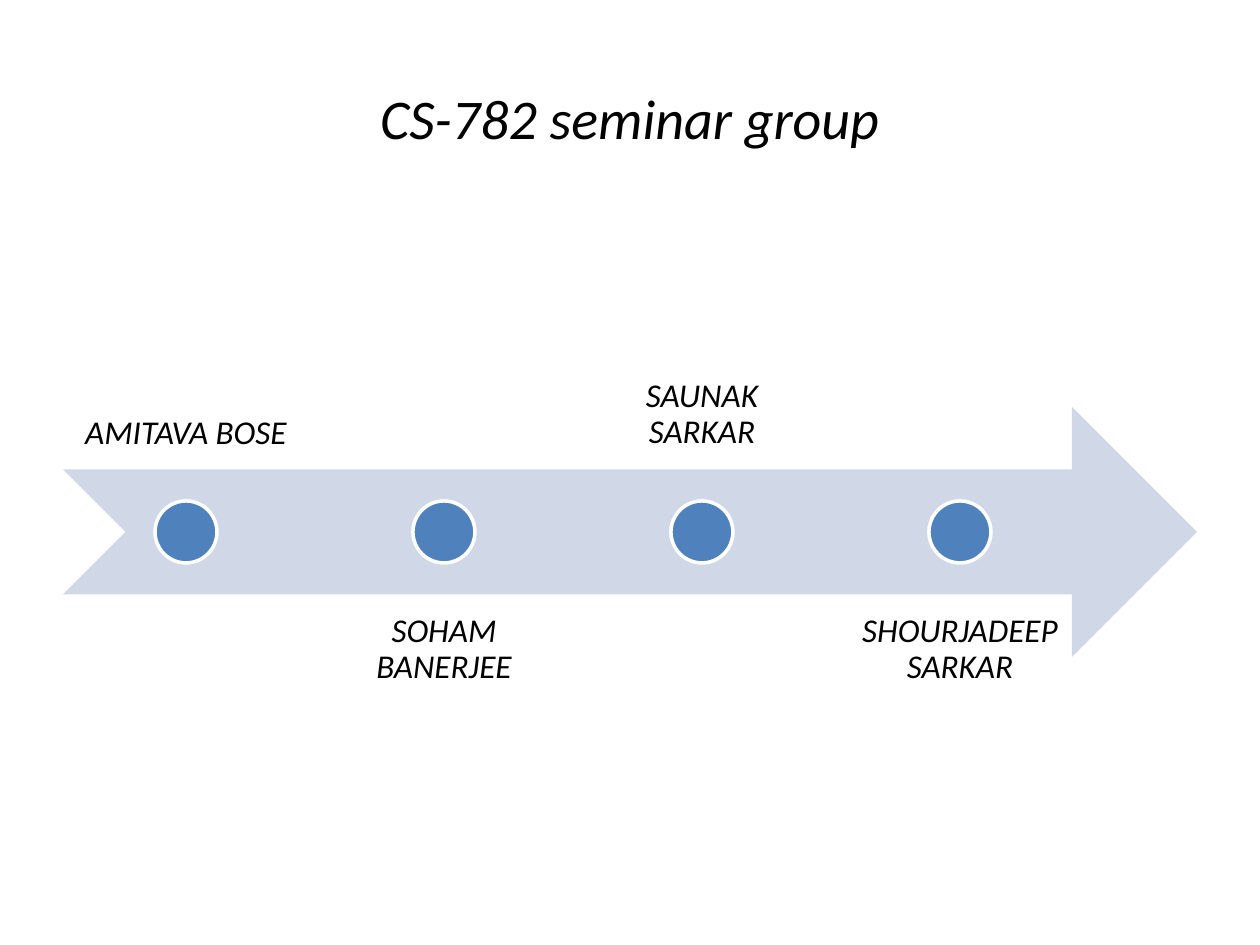
import pptx
import pptx.util
import pptx.dml.color
import pptx.enum.shapes
import pptx.enum.text

TITLE = "CS-782 seminar group"
MEMBERS = ["AMITAVA BOSE", "SOHAM BANERJEE", "SAUNAK SARKAR", "SHOURJADEEP SARKAR"]
COLORS = {"text": "000000", "arrow": "D0D8E8", "dot": "4F81BD", "outline": "FFFFFF"}
FONT = "Calibri"

PX = 914400 // 126
LEFT, WIDTH = 63, 1134
ARROW_TOP, ARROW_HEIGHT = 407, 250
NAME_WIDTH, NAME_HEIGHT, NAME_PITCH = 246, 250, 258
NAME_TOPS = (220, 595)
DOT = 62

SHAPES = pptx.enum.shapes.MSO_SHAPE
ANCHORS = pptx.enum.text.MSO_ANCHOR


def color(key):
    return pptx.dml.color.RGBColor.from_string(COLORS[key])


def box(*lengths):
    return [length * PX for length in lengths]


def add_text(slide, text, place, size, anchor, inset):
    frame = slide.shapes.add_textbox(*box(*place)).text_frame
    frame.word_wrap = True
    frame.vertical_anchor = anchor
    frame.margin_left = frame.margin_right = inset[0] * PX
    frame.margin_top = frame.margin_bottom = inset[1] * PX
    paragraph = frame.paragraphs[0]
    paragraph.text = text
    paragraph.alignment = pptx.enum.text.PP_ALIGN.CENTER
    paragraph.font.name = FONT
    paragraph.font.size = pptx.util.Pt(size)
    paragraph.font.italic = True
    paragraph.font.color.rgb = color("text")
    return paragraph


def add_filled(slide, kind, place, fill):
    shape = slide.shapes.add_shape(kind, *box(*place))
    shape.shadow.inherit = False
    shape.fill.solid()
    shape.fill.fore_color.rgb = color(fill)
    shape.line.fill.background()
    return shape


def main():
    deck = pptx.Presentation()
    deck.slide_width, deck.slide_height = pptx.util.Inches(10), pptx.util.Inches(7.5)
    slide = deck.slides.add_slide(deck.slide_layouts[6])

    add_text(slide, TITLE, (LEFT, 38, WIDTH, 158), 32, ANCHORS.MIDDLE, (13, 6))
    add_filled(slide, SHAPES.NOTCHED_RIGHT_ARROW,
               (LEFT, ARROW_TOP, WIDTH, ARROW_HEIGHT), "arrow")

    dot_top = ARROW_TOP + (ARROW_HEIGHT - DOT) // 2
    for index, member in enumerate(MEMBERS):
        left = LEFT + index * NAME_PITCH
        below = index % 2
        anchor = ANCHORS.TOP if below else ANCHORS.BOTTOM
        name = add_text(slide, member, (left, NAME_TOPS[below], NAME_WIDTH, NAME_HEIGHT),
                        19, anchor, (19, 19))
        name.line_spacing = 0.9
        dot = add_filled(slide, SHAPES.OVAL,
                         (left + (NAME_WIDTH - DOT) // 2, dot_top, DOT, DOT), "dot")
        dot.line.color.rgb = color("outline")
        dot.line.width = pptx.util.Pt(2)

    deck.save("out.pptx")


if __name__ == "__main__":
    main()
